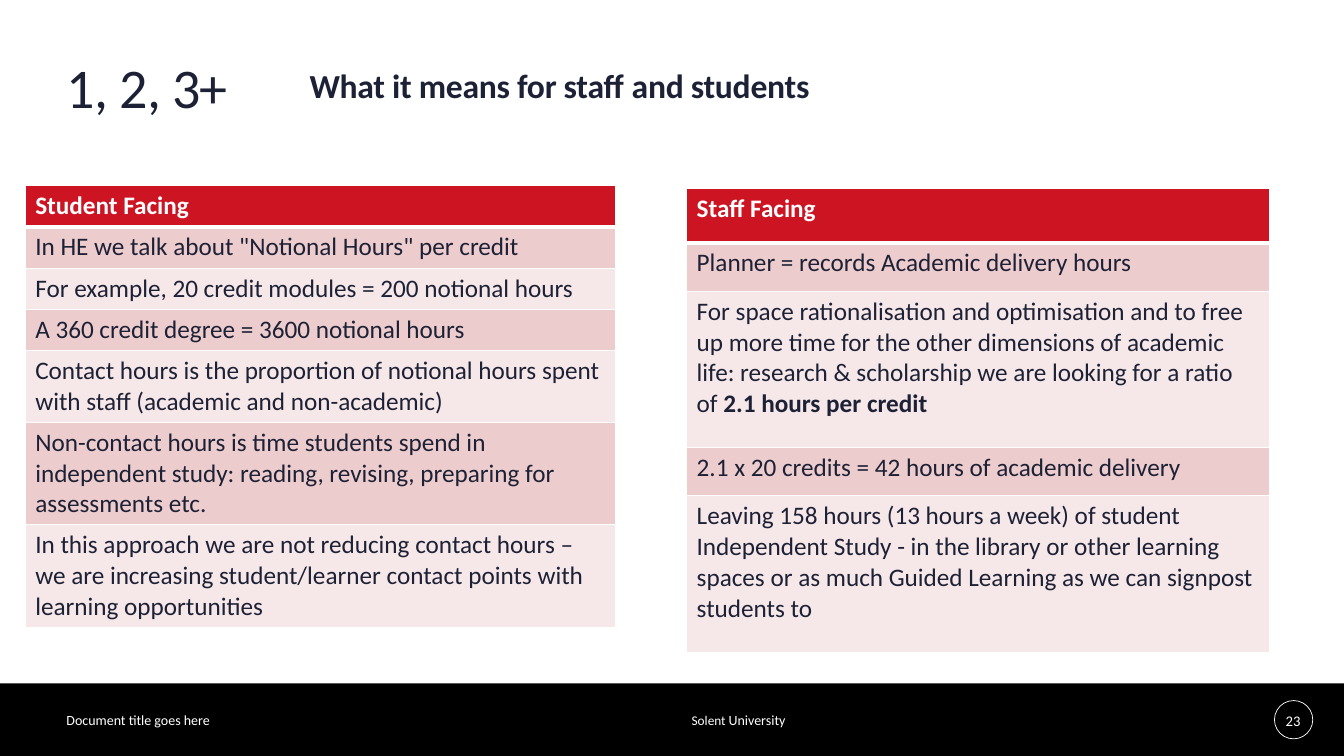
from dataclasses import dataclass

from lxml import etree
from pptx import Presentation
from pptx.dml.color import RGBColor
from pptx.enum.shapes import MSO_SHAPE
from pptx.enum.text import MSO_ANCHOR, MSO_AUTO_SIZE, PP_ALIGN
from pptx.oxml.ns import qn
from pptx.util import Inches, Pt


@dataclass(frozen=True)
class Theme:
    font: str = "Calibri"
    ink: str = "1D2136"
    white: str = "FFFFFF"
    black: str = "000000"
    red: str = "CD1423"
    bands: tuple = ("EDCCCD", "F6E7E8")
    title: float = 40
    lead: float = 24
    cell: float = 18
    foot: float = 10
    mark: float = 9.5
    page: float = 10.5


THEME = Theme()

STUDENT = [
    "Student Facing",
    'In HE we talk about "Notional Hours" per credit',
    "For example, 20 credit modules = 200 notional hours",
    "A 360 credit degree = 3600 notional hours",
    "Contact hours is the proportion of notional hours spent with staff "
    "(academic and non-academic)",
    "Non-contact hours is time students spend in independent study: "
    "reading, revising, preparing for assessments etc.",
    "In this approach we are not reducing contact hours – we are increasing "
    "student/learner contact points with learning opportunities",
]
STAFF = [
    "Staff Facing",
    "Planner = records Academic delivery hours",
    ("For space rationalisation and optimisation and to free up more time "
     "for the other dimensions of academic life: research & scholarship "
     "we are looking for a ratio of ", "2.1 hours per credit"),
    "2.1 x 20 credits = 42 hours of academic delivery",
    "Leaving 158 hours (13 hours a week) of student Independent Study - in "
    "the library or other learning spaces or as much Guided Learning as we "
    "can signpost students to",
]


def add_run(para, text, size, color, bold=False, track=None):
    run = para.add_run()
    run.text = text
    font = run.font
    font.name, font.size, font.bold = THEME.font, Pt(size), bold
    font.color.rgb = RGBColor.from_string(color)
    if track is not None:
        font._element.set("spc", str(track))


def set_frame(shape, anchor=MSO_ANCHOR.TOP):
    frame = shape.text_frame
    frame.word_wrap = True
    frame.auto_size = MSO_AUTO_SIZE.NONE
    frame.vertical_anchor = anchor
    frame.margin_left = frame.margin_right = 0
    frame.margin_top = frame.margin_bottom = 0
    return frame.paragraphs[0]


def place(shape, left, top, width, height):
    shape.left, shape.top = Inches(left), Inches(top)
    shape.width, shape.height = Inches(width), Inches(height)


def add_text(slide, box, anchor=MSO_ANCHOR.TOP):
    shape = slide.shapes.add_textbox(*map(Inches, box))
    return set_frame(shape, anchor)


def add_head(slide, left, top):
    # Title
    title = slide.shapes.title
    place(title, left, top, 2.3, 1.16)
    para = set_frame(title)
    para.alignment = PP_ALIGN.LEFT
    para.line_spacing = 0.85
    add_run(para, "1, 2, 3+", THEME.title, THEME.ink, track=-50)

    # Lead line, without a bullet
    body = slide.placeholders[1]
    place(body, left + 2.41, top + 0.07, 9.6, 0.78)
    para = set_frame(body)
    props = para._p.get_or_add_pPr()
    props.set("marL", "0")
    props.set("indent", "0")
    etree.SubElement(props, qn("a:buNone"))
    para.line_spacing = 0.9
    para.space_before, para.space_after = Pt(0), Pt(14)
    add_run(para, "What it means for staff and students",
            THEME.lead, THEME.ink, True, -20)


def add_edges(cell, base):
    props = cell._tc.get_or_add_tcPr()
    widths = {"lnL": 1, "lnR": 1, "lnT": 1, "lnB": base}
    for spot, (side, width) in enumerate(widths.items()):
        line = etree.Element(qn(f"a:{side}"), w=str(Pt(width)))
        fill = etree.SubElement(line, qn("a:solidFill"))
        etree.SubElement(fill, qn("a:srgbClr"), val=THEME.white)
        props.insert(spot, line)


def add_list(slide, left, top, width, rows, heights):
    # One-column table with a red header and banded rows
    shape = slide.shapes.add_table(
        len(rows), 1, Inches(left), Inches(top),
        Inches(width), Inches(sum(heights)))
    table = shape.table
    for pos, (row, height) in enumerate(zip(rows, heights)):
        table.rows[pos].height = Inches(height)
        head = pos == 0
        cell = table.cell(pos, 0)
        cell.fill.solid()
        shade = THEME.red if head else THEME.bands[(pos - 1) % 2]
        cell.fill.fore_color.rgb = RGBColor.from_string(shade)
        add_edges(cell, 3 if head else 1)
        parts = (row,) if isinstance(row, str) else row
        for part, text in enumerate(parts):
            add_run(cell.text_frame.paragraphs[0], text, THEME.cell,
                    THEME.white if head else THEME.ink, head or part > 0)


def add_foot(slide, top, width, height):
    # Black band
    band = slide.shapes.add_shape(
        MSO_SHAPE.RECTANGLE, 0, Inches(top), Inches(width), Inches(height))
    band.shadow.inherit = False
    band.fill.solid()
    band.fill.fore_color.rgb = RGBColor.from_string(THEME.black)
    band.line.fill.background()

    # Page ring and number
    ring = slide.shapes.add_shape(
        MSO_SHAPE.OVAL, Inches(width - 0.69), Inches(top + 0.17),
        Inches(0.38), Inches(0.38))
    ring.shadow.inherit = False
    ring.fill.background()
    ring.line.color.rgb = RGBColor.from_string(THEME.white)
    ring.line.width = Pt(0.5)
    para = add_text(slide, (width - 0.77, top + 0.17, 0.53, 0.4),
                    MSO_ANCHOR.MIDDLE)
    para.alignment = PP_ALIGN.CENTER
    add_run(para, "23", THEME.page, THEME.white)

    # Footer texts
    para = add_text(slide, (0.66, top + 0.28, 4.5, 0.21))
    add_run(para, "Document title goes here", THEME.foot, THEME.white)
    para = add_text(slide, (6.86, top + 0.28, 1.62, 0.4))
    add_run(para, "Solent ", THEME.mark, THEME.white)
    add_run(para, "University", THEME.foot, THEME.white)


def main():
    deck = Presentation()
    deck.slide_width, deck.slide_height = Inches(13.33), Inches(7.5)
    slide = deck.slides.add_slide(deck.slide_layouts[1])
    add_foot(slide, 6.78, 13.33, 0.72)
    add_head(slide, 0.66, 0.62)
    add_list(slide, 0.25, 1.84, 5.86, STUDENT, [0.41] * len(STUDENT))
    add_list(slide, 6.81, 1.87, 5.78, STAFF, [0.54, 0.48, 1.55, 0.48, 1.55])
    deck.save("out.pptx")


if __name__ == "__main__":
    main()
